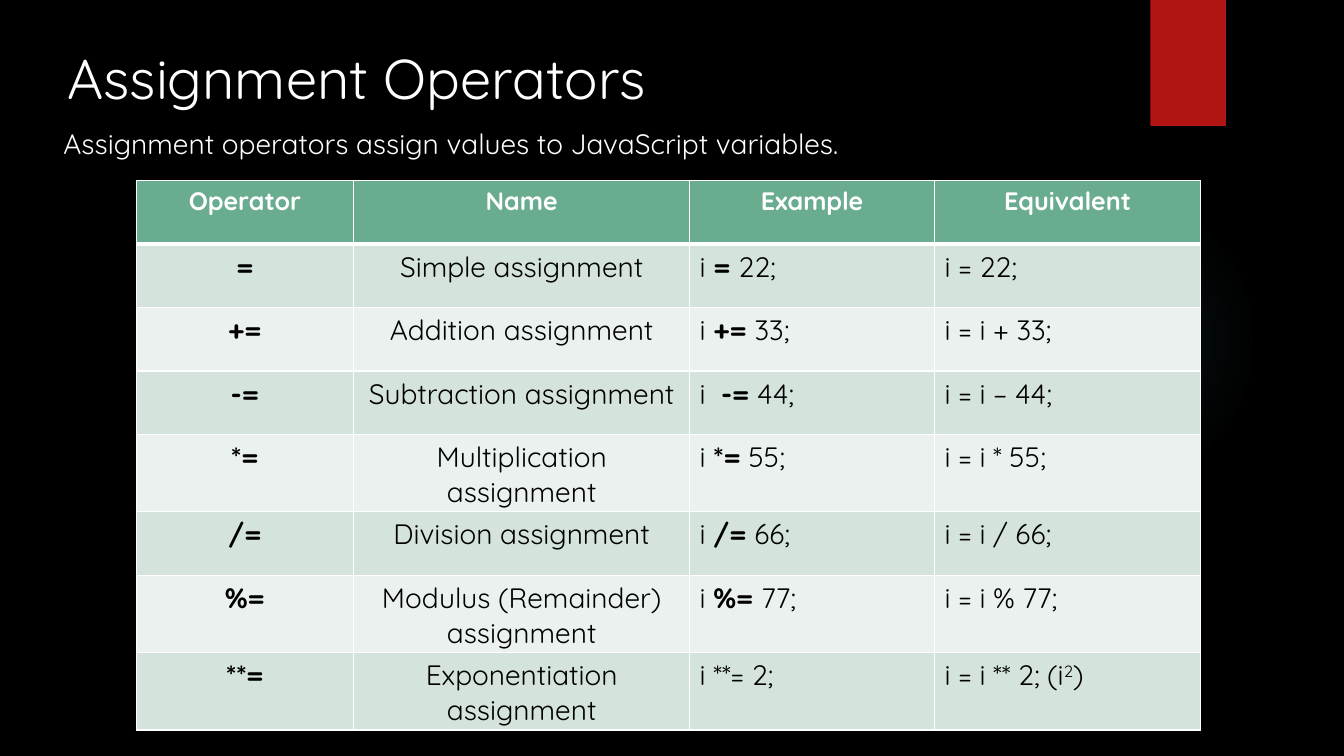
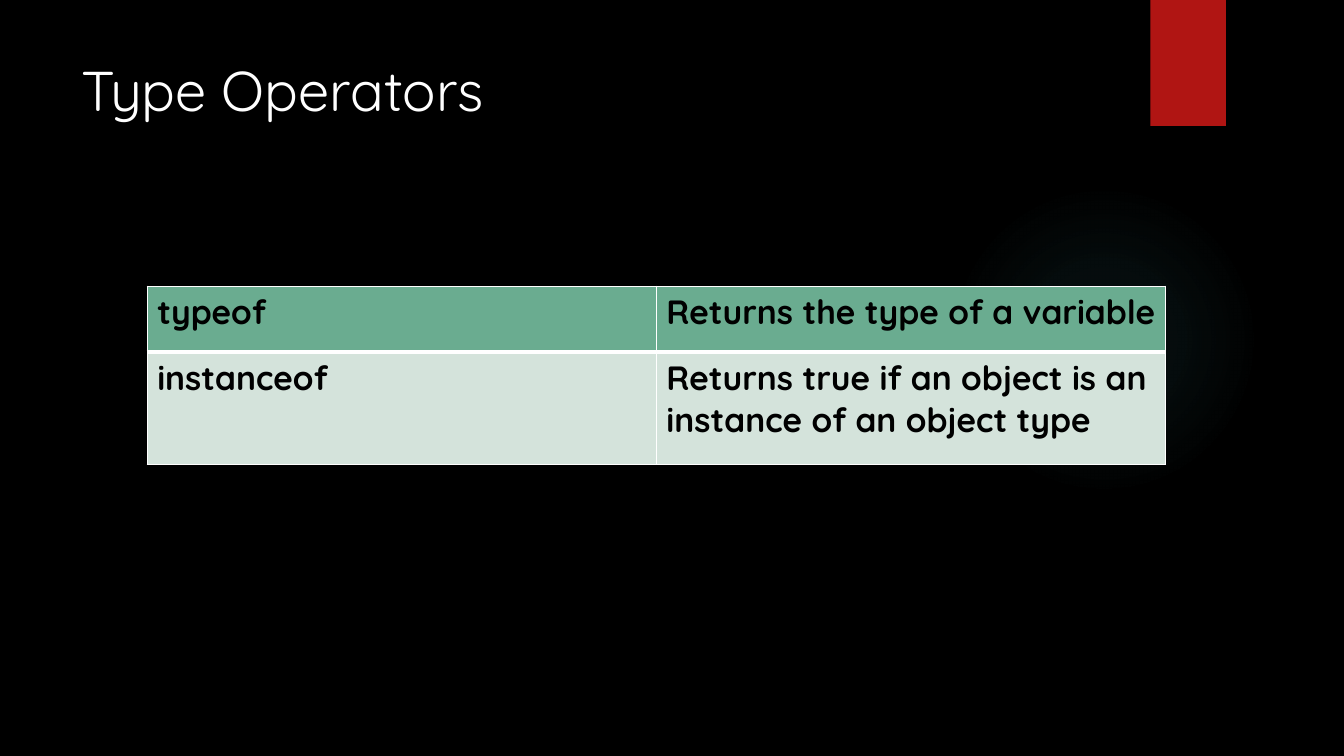
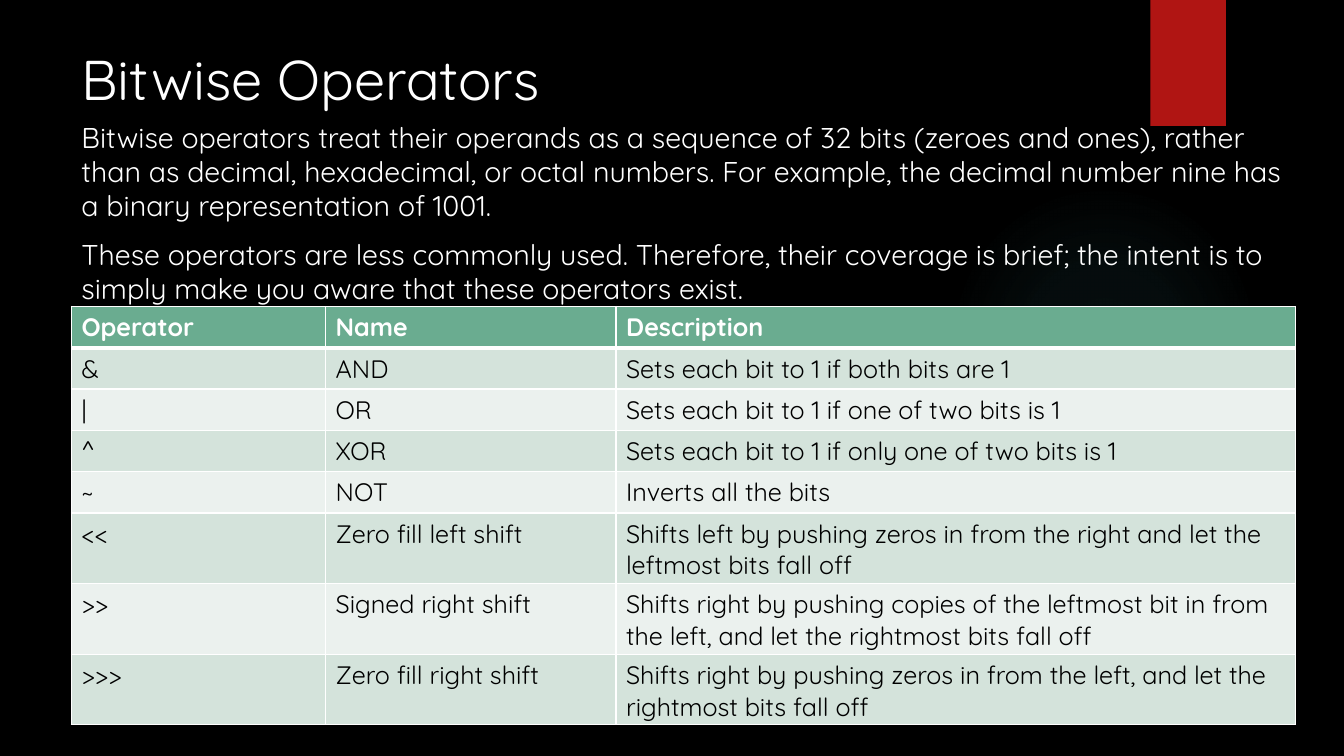
from lxml.etree import SubElement
from pptx import Presentation
from pptx.dml.color import RGBColor
from pptx.enum.shapes import MSO_SHAPE
from pptx.enum.text import MSO_ANCHOR, PP_ALIGN
from pptx.oxml import parse_xml
from pptx.oxml.ns import nsdecls, qn
from pptx.util import Inches, Pt

FONT = "Quicksand"
BLACK = RGBColor(0x00, 0x00, 0x00)
WHITE = RGBColor(0xFF, 0xFF, 0xFF)
RED = RGBColor(0xB0, 0x15, 0x13)
TEAL = RGBColor(0x50, 0xB9, 0xC1)
GREEN = RGBColor(0x6A, 0xAC, 0x90)
BANDS = [RGBColor(0xD4, 0xE3, 0xDB), RGBColor(0xEB, 0xF1, 0xEE)]

TITLE = {"size": Pt(40), "color": WHITE}
HEADER = {"size": Pt(18), "bold": True, "color": WHITE}
BODY = {"size": Pt(20), "bold": False, "color": BLACK}
STRONG = {"bold": True}
SUPERSCRIPT = {"baseline": "30000"}
CENTER, LEFT = PP_ALIGN.CENTER, PP_ALIGN.LEFT

ASSIGNMENT_ROWS = [
    ["Operator", "Name", "Example", "Equivalent"],
    ["=", "Simple assignment", ["i ", ("=", STRONG), " 22;"], "i = 22;"],
    ["+=", "Addition assignment", ["i ", ("+=", STRONG), " 33;"], "i = i + 33;"],
    ["-=", "Subtraction assignment", ["i  ", ("-=", STRONG), " 44;"], "i = i – 44;"],
    ["*=", "Multiplication assignment", ["i ", ("*=", STRONG), " 55;"], "i = i * 55;"],
    ["/=", "Division assignment", ["i ", ("/=", STRONG), " 66;"], "i = i / 66;"],
    ["%=", "Modulus (Remainder) assignment", ["i ", ("%=", STRONG), " 77;"], "i = i % 77;"],
    ["**=", "Exponentiation assignment", "i **= 2;", ["i = i ** 2; (i", ("2", SUPERSCRIPT), ")"]],
]
TYPE_ROWS = [
    ["typeof", "Returns the type of a variable"],
    ["instanceof", "Returns true if an object is an instance of an object type"],
]
BITWISE_ROWS = [
    ["Operator", "Name", "Description"],
    ["&", "AND", "Sets each bit to 1 if both bits are 1"],
    ["|", "OR", "Sets each bit to 1 if one of two bits is 1"],
    ["^", "XOR", "Sets each bit to 1 if only one of two bits is 1"],
    ["~", "NOT", "Inverts all the bits"],
    ["<<", "Zero fill left shift",
     "Shifts left by pushing zeros in from the right and let the leftmost bits fall off"],
    [">>", "Signed right shift",
     "Shifts right by pushing copies of the leftmost bit in from the left, "
     "and let the rightmost bits fall off"],
    [">>>", "Zero fill right shift",
     "Shifts right by pushing zeros in from the left, and let the rightmost bits fall off"],
]
BITWISE_TEXT = [
    "Bitwise operators treat their operands as a sequence of 32 bits (zeroes and ones), "
    "rather than as decimal, hexadecimal, or octal numbers. For example, the decimal number "
    "nine has a binary representation of 1001.",
    "These operators are less commonly used. Therefore, their coverage is brief; the intent "
    "is to simply make you aware that these operators exist.",
]


def format_run(run, values):
    run.font.name = FONT
    for name, value in values.items():
        if name == "color":
            run.font.color.rgb = value
        elif name == "baseline":
            run.font._element.set(name, value)
        else:
            setattr(run.font, name, value)


def write_paragraph(paragraph, content, values):
    for part in [content] if isinstance(content, str) else content:
        text, extra = (part, {}) if isinstance(part, str) else part
        run = paragraph.add_run()
        run.text = text
        format_run(run, values | extra)


def add_text(slide, box, paragraphs, values, **spacing):
    frame = slide.shapes.add_textbox(*map(Inches, box)).text_frame
    frame.word_wrap = True
    frame.vertical_anchor = MSO_ANCHOR.TOP
    for index, content in enumerate(paragraphs):
        paragraph = frame.add_paragraph() if index else frame.paragraphs[0]
        for name, value in spacing.items():
            setattr(paragraph, name, value)
        write_paragraph(paragraph, content, values)


def add_plain_shape(slide, preset, box):
    shape = slide.shapes.add_shape(preset, *map(Inches, box))
    shape.shadow.inherit = False
    shape.line.fill.background()
    return shape


def add_glow(slide):
    glow = add_plain_shape(slide, MSO_SHAPE.OVAL, (9.41, 1.83, 3.08, 3.08))
    glow.fill.background()
    stops = "".join(
        f'<a:gs pos="{position}000"><a:srgbClr val="{TEAL}"><a:alpha val="{alpha}000"/></a:srgbClr></a:gs>'
        for position, alpha in [(0, 7), (36, 6), (69, 0)]
    )
    gradient = parse_xml(
        f'<a:gradFill {nsdecls("a")}><a:gsLst>{stops}</a:gsLst><a:path path="circle">'
        '<a:fillToRect l="50000" t="50000" r="50000" b="50000"/></a:path></a:gradFill>'
    )
    properties = glow._element.spPr
    properties.replace(properties.find(qn("a:noFill")), gradient)


def add_ribbon(slide):
    ribbon = add_plain_shape(slide, MSO_SHAPE.RECTANGLE, (11.41, 0, 0.75, 1.25))
    ribbon.fill.solid()
    ribbon.fill.fore_color.rgb = RED
    effects = ribbon._element.spPr.find(qn("a:effectLst"))
    effects.append(parse_xml(
        f'<a:outerShdw {nsdecls("a")} blurRad="{Pt(3)}" dist="{Pt(2)}" dir="5400000">'
        f'<a:srgbClr val="{BLACK}"><a:alpha val="45000"/></a:srgbClr></a:outerShdw>'
    ))


def add_borders(cell, bottom_width):
    properties = cell._tc.get_or_add_tcPr()
    for side, width in {"L": 1, "R": 1, "T": 1, "B": bottom_width}.items():
        line = SubElement(properties, qn(f"a:ln{side}"), w=str(Pt(width)))
        fill = SubElement(line, qn("a:solidFill"))
        SubElement(fill, qn("a:srgbClr"), val=str(WHITE))


def add_operator_table(slide, position, widths, heights, rows, header, body, alignments=None, first_column=None):
    left, top = position
    table = slide.shapes.add_table(
        len(rows), len(widths), *map(Inches, (left, top, sum(widths), sum(heights)))
    ).table
    for column, width in zip(table.columns, widths):
        column.width = Inches(width)
    for row, height in zip(table.rows, heights):
        row.height = Inches(height)
    for row_index, contents in enumerate(rows):
        for column_index, content in enumerate(contents):
            cell = table.cell(row_index, column_index)
            is_header = row_index == 0
            add_borders(cell, 3 if is_header else 1)
            cell.fill.solid()
            cell.fill.fore_color.rgb = GREEN if is_header else BANDS[(row_index - 1) % 2]
            values = header if is_header else body
            if column_index == 0:
                values = values | (first_column or {})
            paragraph = cell.text_frame.paragraphs[0]
            if alignments:
                paragraph.alignment = CENTER if is_header else alignments[column_index]
            write_paragraph(paragraph, content, values)


def add_operator_slide(presentation, title, left, top):
    slide = presentation.slides.add_slide(presentation.slide_layouts[6])
    slide.background.fill.solid()
    slide.background.fill.fore_color.rgb = BLACK
    add_glow(slide)
    add_ribbon(slide)
    add_text(slide, (left, top, 10.29, 0.85), [title], TITLE)
    return slide


def main():
    presentation = Presentation()
    presentation.slide_width = Inches(13.33)
    presentation.slide_height = Inches(7.5)

    assignment = add_operator_slide(presentation, "Assignment Operators", 0.57, 0.38)
    add_operator_table(
        assignment, (1.35, 1.79), [2.16, 3.33, 2.43, 2.64], [0.63] * 8, ASSIGNMENT_ROWS,
        HEADER, BODY, [CENTER, CENTER, LEFT, LEFT], STRONG,
    )
    add_text(
        assignment, (0.53, 1.21, 12.24, 0.4),
        ["Assignment operators assign values to JavaScript variables."],
        BODY | {"color": WHITE}, space_before=Pt(10),
    )

    types = add_operator_slide(presentation, "Type Operators", 0.71, 0.5)
    type_text = {"size": Pt(24), "bold": True, "color": BLACK}
    add_operator_table(
        types, (1.46, 2.84), [5.05] * 2, [0.65, 1.12], TYPE_ROWS, type_text, type_text,
    )

    bitwise = add_operator_slide(presentation, "Bitwise Operators", 0.71, 0.39)
    add_text(
        bitwise, (0.71, 1.14, 12.14, 1.86), BITWISE_TEXT,
        {"size": Pt(20.4), "color": WHITE}, space_before=Pt(10),
    )
    add_operator_table(
        bitwise, (0.71, 3.04), [2.52, 2.88, 6.74], [0.41] * 8, BITWISE_ROWS,
        HEADER, BODY | {"size": Pt(18)},
    )

    presentation.save("out.pptx")


main()
